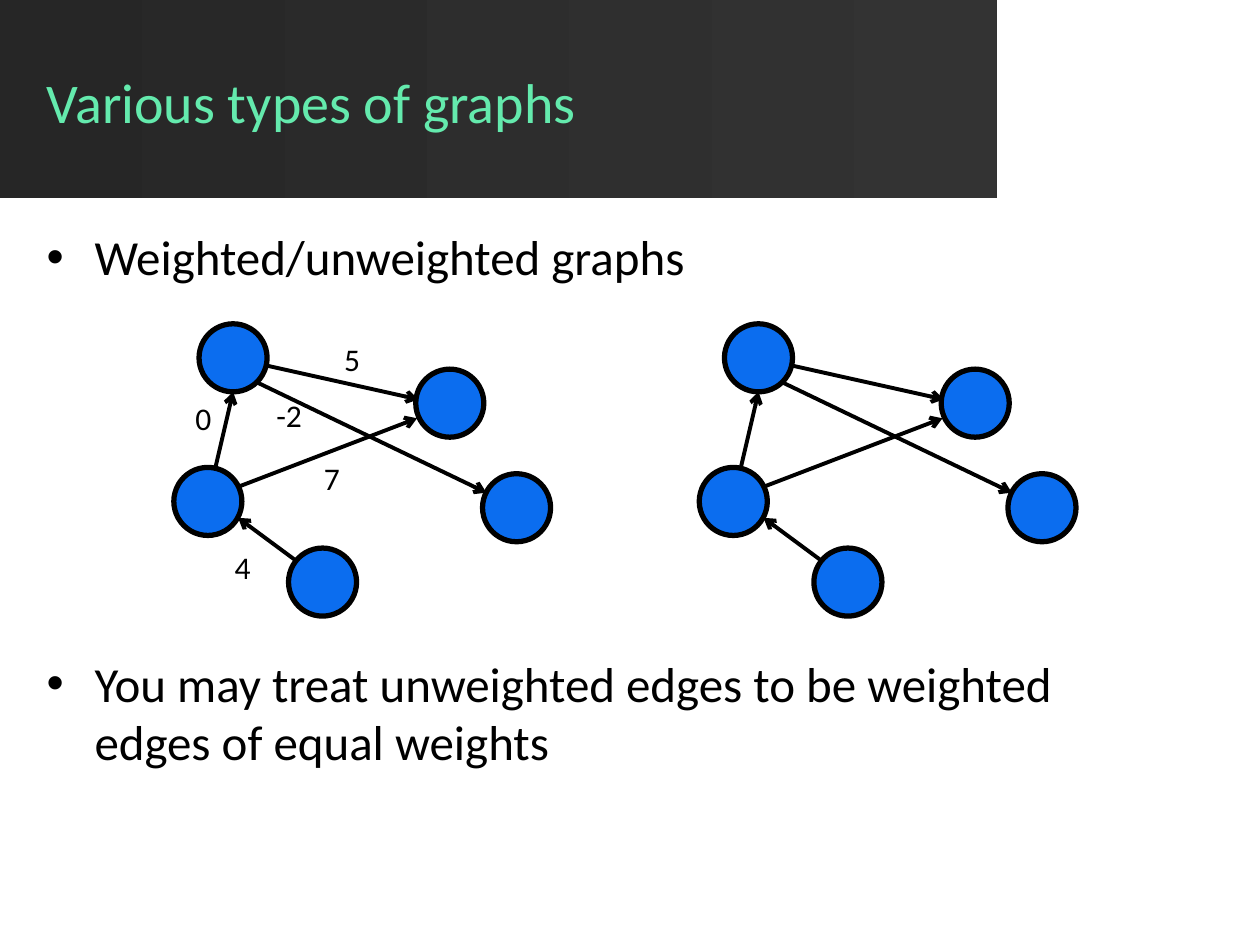
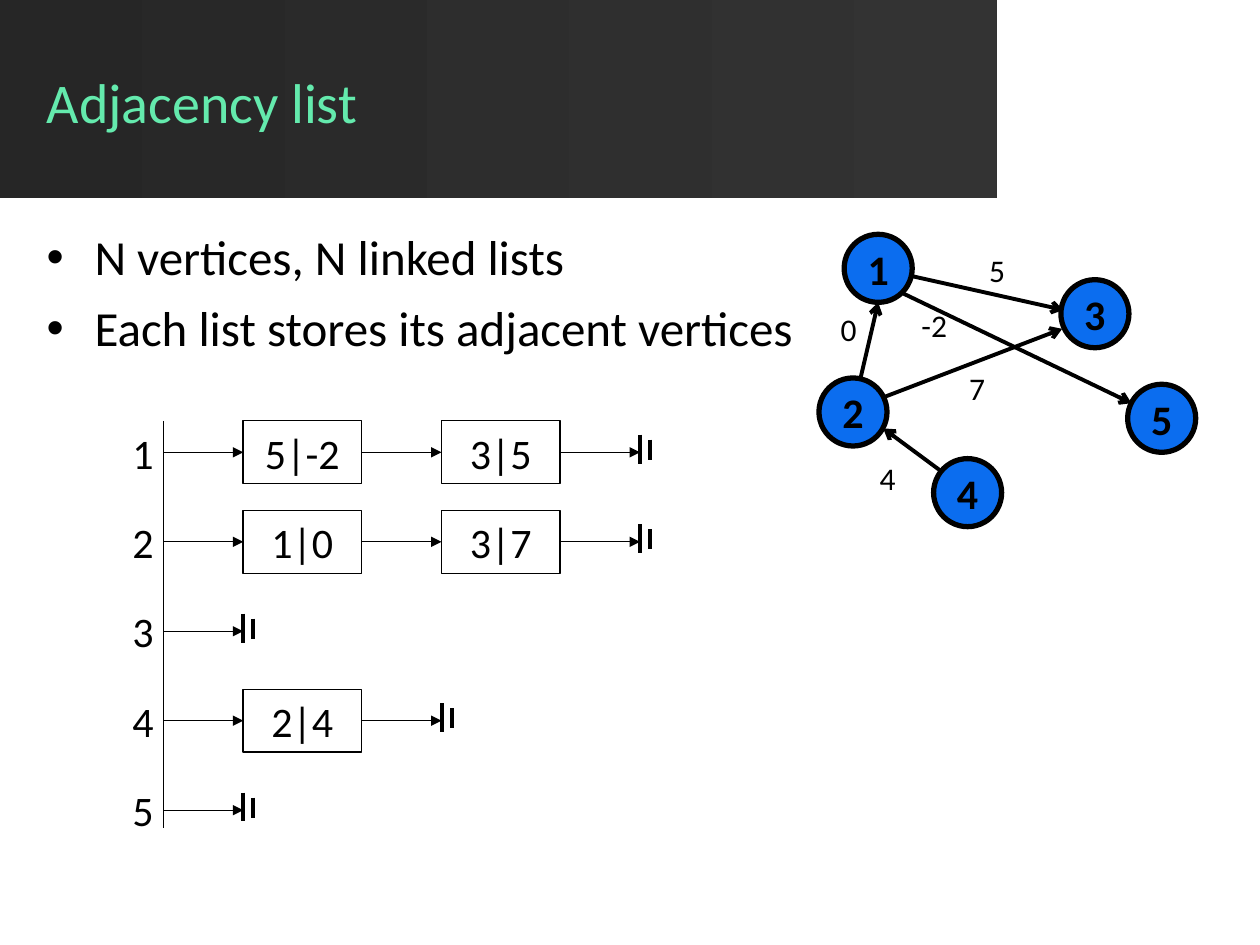
from lxml.etree import SubElement
from pptx import Presentation
from pptx.dml.color import RGBColor
from pptx.enum.shapes import MSO_CONNECTOR, MSO_SHAPE
from pptx.enum.text import MSO_ANCHOR, MSO_AUTO_SIZE, PP_ALIGN
from pptx.oxml.ns import qn
from pptx.util import Inches, Pt

INK = {"black": "000000", "mint": "64EAAD", "blue": "0B6DEF", "dark": "262626", "gray": "333333"}
FONT = "Calibri"

deck = Presentation()
deck.slide_width, deck.slide_height = Inches(10), Inches(7.5)
COLS = 100
CELL = deck.slide_width // COLS


def write(text, para, size=24, ink="black", align=PP_ALIGN.CENTER, bold=False, gap=0):
    run = para.add_run()
    run.text = text
    para.alignment = align
    para.space_before = Pt(gap)
    run.font.name, run.font.size, run.font.bold = FONT, Pt(size), bold
    run.font.color.rgb = RGBColor.from_string(INK[ink])


def link(shapes, x1, y1, x2, y2, width=0.75, head=None):
    ends = [int(v * CELL) for v in (x1, y1, x2, y2)]
    line = shapes.add_connector(MSO_CONNECTOR.STRAIGHT, *ends)
    line.line.width = Pt(width)
    line.line.color.rgb = RGBColor.from_string(INK["black"])
    if head:
        SubElement(line.line._get_or_add_ln(), qn("a:tailEnd"), type=head)
    SubElement(line._element.spPr, qn("a:effectLst"))
    return line


TOPICS = [
    ("Various types of graphs", [
        ("Weighted/unweighted graphs", 0),
        ("You may treat unweighted edges to be weighted edges of equal weights", 210)]),
    ("Adjacency list", [
        ("N vertices, N linked lists", 0),
        ("Each list stores its adjacent vertices", 7)]),
]
PLACES = {"title": (2.7, 3, 74.8, 10.1), "body": (2.7, 17.5, 90, 49.5)}
layout = deck.slide_layouts[1]
slides = []
for title, points in TOPICS:
    slide = deck.slides.add_slide(layout)
    slides.append(slide)
    head, body = slide.placeholders
    for holder, place in ((head, PLACES["title"]), (body, PLACES["body"])):
        holder.left, holder.top, holder.width, holder.height = [int(v * CELL) for v in place]
        holder.text_frame.word_wrap = True
        holder.text_frame.auto_size = MSO_AUTO_SIZE.NONE
    head.text_frame.vertical_anchor = MSO_ANCHOR.MIDDLE
    write(title, head.text_frame.paragraphs[0], size=32, ink="mint", align=PP_ALIGN.LEFT)
    frame = body.text_frame
    for i, (point, gap) in enumerate(points):
        para = frame.add_paragraph() if i else frame.paragraphs[0]
        props = para._p.get_or_add_pPr()
        props.set("marL", str(Inches(0.38)))
        props.set("indent", str(-Inches(0.38)))
        SubElement(props, qn("a:buChar"), char="•")
        write(point, para, size=28, align=PP_ALIGN.LEFT, gap=gap)

band = slides[0].shapes.add_shape(MSO_SHAPE.RECTANGLE, 0, 0, int(79.1 * CELL), int(15.7 * CELL))
band.shadow.inherit = False
band.line.fill.background()
band.fill.gradient()
band.fill.gradient_angle = 0
for stop, ink in zip(band.fill.gradient_stops, ("dark", "gray")):
    stop.color.rgb = RGBColor.from_string(INK[ink])
layout.shapes._spTree.insert(2, band._element)

NODES = {"1": (2, 0), "2": (0, 11.4), "3": (19.2, 3.6), "4": (9.1, 17.8), "5": (24.5, 11.9)}
EDGES = [
    ("5", (11.8, 0.8), (7.3, 3.3), (19.4, 6)),
    ("-2", (6.8, 5.2), (6.7, 4.7), (24.8, 13.4)),
    ("7", (10.2, 10.2), (5.2, 12.9), (19.3, 7.5)),
    ("4", (3.1, 17.3), (9.7, 18.8), (5.1, 15.4)),
    ("0", (0, 5.5), (3.3, 11.4), (4.7, 5.4)),
]
GRAPHS = [
    (slides[0], 13.8, 25.7, True, False),
    (slides[0], 55.5, 25.7, False, False),
    (slides[1], 65, 18.6, True, True),
]
SIDE = int(5.4 * CELL)
for slide, left, top, weighted, named in GRAPHS:
    group = slide.shapes.add_group_shape().shapes
    for name, (x, y) in NODES.items():
        node = group.add_shape(MSO_SHAPE.OVAL, int((left + x) * CELL), int((top + y) * CELL), SIDE, SIDE)
        node.shadow.inherit = False
        node.fill.solid()
        node.fill.fore_color.rgb = RGBColor.from_string(INK["blue"])
        node.line.color.rgb = RGBColor.from_string(INK["black"])
        node.line.width = Pt(3)
        if named:
            node.text_frame.word_wrap = False
            write(name, node.text_frame.paragraphs[0], bold=True)
    for weight, (x, y), (x1, y1), (x2, y2) in EDGES:
        link(group, left + x1, top + y1, left + x2, top + y2, width=2.25, head="arrow")
        if weighted:
            label = group.add_textbox(int((left + x) * CELL), int((top + y) * CELL), int(4.7 * CELL), 4 * CELL)
            label.text_frame.word_wrap = True
            write(weight, label.text_frame.paragraphs[0], size=18)

LISTS = [["5|-2", "3|5"], ["1|0", "3|7"], [], ["2|4"], []]
SPINE, FIRST, STEP = 13, 19.3, 15.75
TOP, PITCH, WIDE, TALL = 33.4, 7.1, 9.4, 5
shapes = slides[1].shapes
link(shapes, SPINE, TOP, SPINE, 65.7)
for row, cells in enumerate(LISTS):
    top = TOP + row * PITCH
    mid = top + TALL / 2
    label = shapes.add_textbox(9 * CELL, int(top * CELL), int(4.7 * CELL), TALL * CELL)
    label.text_frame.word_wrap = True
    write(str(row + 1), label.text_frame.paragraphs[0])
    last, start = None, SPINE
    for col, text in enumerate(cells + [None]):
        left = FIRST + col * STEP
        arrow = link(shapes, start, mid, left, mid, head="triangle")
        if last:
            arrow.begin_connect(last, 3)
        if text:
            box = shapes.add_shape(MSO_SHAPE.RECTANGLE, int(left * CELL), int(top * CELL),
                                   int(WIDE * CELL), TALL * CELL)
            box.shadow.inherit = False
            box.fill.background()
            box.line.color.rgb = RGBColor.from_string(INK["black"])
            box.line.width = Pt(0.75)
            write(text, box.text_frame.paragraphs[0])
            arrow.end_connect(box, 1)
            last, start = box, left + WIDE
        else:
            for shift, rise, drop in ((0, 1.4, 0.9), (0.8, 1, 0.6)):
                link(shapes, left + shift, mid - rise, left + shift, mid + drop, width=2.25)

deck.save("out.pptx")
